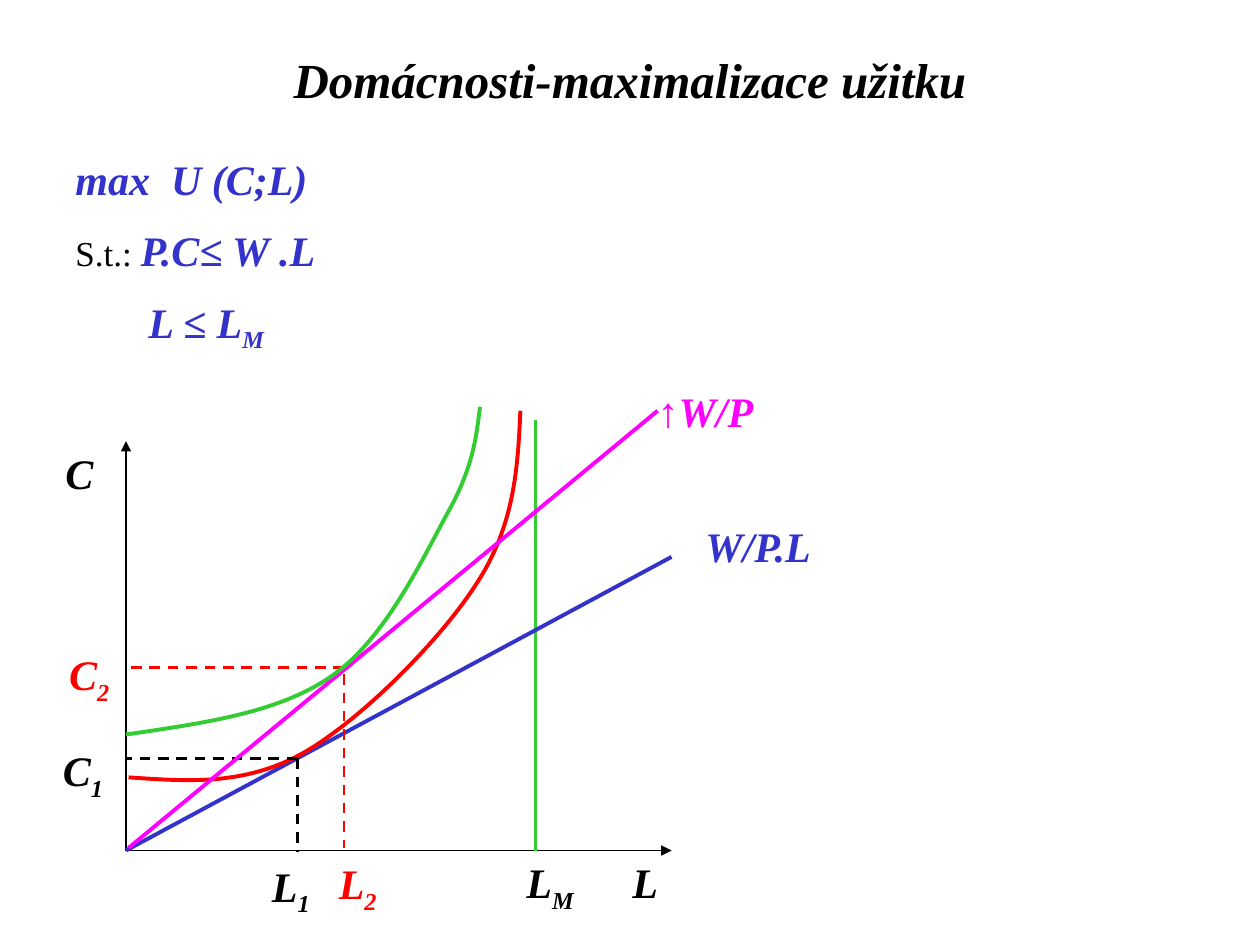
from dataclasses import dataclass

from lxml import etree
from pptx import Presentation
from pptx.dml.color import RGBColor
from pptx.enum import dml, shapes, text
from pptx.oxml.ns import qn
from pptx.util import Inches, Pt

FONT = "Times New Roman"
COLORS = {
    "black": "000000",
    "blue": "3333CC",
    "green": "33CC33",
    "red": "FF0000",
    "magenta": "FF00FF",
}
Point = tuple[float, float]


@dataclass
class Label:
    words: str
    left: float
    top: float
    width: float
    color: str = "black"
    subscript: str = ""


@dataclass
class Line:
    start: Point
    end: Point
    color: str = "black"
    weight: float = 2.25
    dashed: bool = False
    arrow: bool = False


@dataclass
class Curve:
    color: str
    points: list[Point]  # start, then two controls and an end per segment


def color_of(name: str) -> RGBColor:
    return RGBColor.from_string(COLORS[name])


def style_font(font, color: str, size: float = 24, strong: bool = True) -> None:
    font.name, font.size = FONT, Pt(size)
    font.bold = font.italic = strong
    font.color.rgb = color_of(color)


def add_subscript(paragraph, words: str) -> None:
    run = paragraph.add_run()
    run.text = words
    run.font._element.set("baseline", "-25000")


def space_half_line(paragraph) -> None:
    """Put half a line of space before the paragraph."""
    paragraph.space_before = Pt(0)
    spacing = paragraph._p.pPr.find(qn("a:spcBef"))
    spacing.clear()
    etree.SubElement(spacing, qn("a:spcPct")).set("val", "50000")


def add_text_frame(slide, left: float, top: float, width: float, height: float):
    shape = slide.shapes.add_textbox(*map(Inches, (left, top, width, height)))
    frame = shape.text_frame
    frame.word_wrap = True
    frame.auto_size = text.MSO_AUTO_SIZE.SHAPE_TO_FIT_TEXT
    return frame


def add_label(slide, label: Label) -> None:
    frame = add_text_frame(slide, label.left, label.top, label.width, 0.5)
    paragraph = frame.paragraphs[0]
    space_half_line(paragraph)
    style_font(paragraph.font, label.color)
    paragraph.add_run().text = label.words
    if label.subscript:
        add_subscript(paragraph, label.subscript)


def add_line(slide, line: Line) -> None:
    connector = slide.shapes.add_connector(
        shapes.MSO_CONNECTOR.STRAIGHT, *map(Inches, line.start + line.end))
    connector.line.color.rgb = color_of(line.color)
    connector.line.width = Pt(line.weight)
    if line.dashed:
        connector.line.dash_style = dml.MSO_LINE.DASH
    if line.arrow:
        outline = connector.line._get_or_add_ln()
        etree.SubElement(outline, qn("a:tailEnd")).set("type", "triangle")
    etree.SubElement(connector._element.spPr, qn("a:effectLst"))


def add_curve(slide, curve: Curve) -> None:
    start, *others = [(Inches(x), Inches(y)) for x, y in curve.points]
    builder = slide.shapes.build_freeform(*start)
    builder.add_line_segments(others, close=False)
    shape = builder.convert_to_shape()
    shape.shadow.inherit = False
    shape.fill.background()
    shape.line.color.rgb = color_of(curve.color)
    shape.line.width = Pt(2.25)
    # Turn every three straight steps into one Bézier segment
    steps = list(shape._element.iter(qn("a:lnTo")))
    outline = steps[0].getparent()
    for first in range(0, len(steps), 3):
        segment = etree.SubElement(outline, qn("a:cubicBezTo"))
        for step in steps[first:first + 3]:
            segment.append(step[0])
            outline.remove(step)


def add_title(slide) -> None:
    title = slide.shapes.title
    title.left, title.top, title.width, title.height = map(Inches, (0.75, 0, 8.5, 1.25))
    title.text_frame.text = "Domácnosti-maximalizace užitku"
    title.text_frame.vertical_anchor = text.MSO_ANCHOR.MIDDLE
    paragraph = title.text_frame.paragraphs[0]
    paragraph.alignment = text.PP_ALIGN.CENTER
    style_font(paragraph.font, "black", 28)


def add_problem(slide) -> None:
    frame = add_text_frame(slide, 0.5, 1.17, 8.58, 1.7)
    goal, budget, limit = frame.paragraphs[0], frame.add_paragraph(), frame.add_paragraph()
    for paragraph in (goal, budget, limit):
        space_half_line(paragraph)
        style_font(paragraph.font, "blue")
    goal.add_run().text = "max  U (C;L)"
    prefix = budget.add_run()
    prefix.text = "S.t.: "
    style_font(prefix.font, "black", 20, strong=False)
    budget.add_run().text = "P.C≤ W .L"
    limit._p.pPr.set("marL", str(Inches(0.58)))
    limit.add_run().text = "L ≤ L"
    add_subscript(limit, "M")


# Chart parts, from back to front
ORIGIN = (1, 6.75)
OPTIMUM_1 = (2.36, 6.02)
OPTIMUM_2 = (2.73, 5.3)
DRAWING = [
    # Axes, labour limit and first budget line
    Line(ORIGIN, (5.33, 6.75), weight=0.75, arrow=True),
    Line(ORIGIN, (1, 3.5), weight=0.75, arrow=True),
    Line((4.25, 6.75), (4.25, 3.33), "green"),
    Line(ORIGIN, (5.33, 4.42), "blue"),
    # First indifference curve
    Curve("red", [(1.02, 6.17), (1.48, 6.2), (1.93, 6.24), (2.4, 5.98),
                  (2.86, 5.72), (3.5, 5.08), (3.79, 4.62),
                  (4.08, 4.17), (4.11, 3.72), (4.13, 3.26)]),
    # Projections of both optima
    Line(OPTIMUM_1, (2.36, 6.76), weight=1.5, dashed=True),
    Line((2.73, 5.35), (2.73, 6.73), "red", 1.5, dashed=True),
    Line(OPTIMUM_1, (1, 6.02), weight=1.5, dashed=True),
    Line(OPTIMUM_2, (1.03, 5.3), "red", 1.5, dashed=True),
    # Steeper budget line and second indifference curve
    Line((1.02, 6.73), (5.22, 3.26), "magenta"),
    Curve("green", [(1, 5.83), (1.61, 5.74), (2.22, 5.66), (2.64, 5.36),
                    (3.07, 5.06), (3.37, 4.4), (3.57, 4.04),
                    (3.76, 3.69), (3.78, 3.46), (3.81, 3.23)]),
]
LABELS = [
    Label("L", 4.92, 6.75, 0.42),
    Label("C", 0.42, 3.5, 0.42),
    Label("L", 4.08, 6.75, 0.67, subscript="M"),
    Label("W/P.L", 5.5, 4.08, 2.67, "blue"),
    Label("L", 2.06, 6.78, 0.55, subscript="1"),
    Label("L", 2.59, 6.76, 0.55, "red", "2"),
    Label("C", 0.4, 5.86, 0.55, subscript="1"),
    Label("C", 0.45, 5.1, 0.55, "red", "2"),
    Label("↑W/P", 5.12, 3.01, 1.25, "magenta"),
]


def main() -> None:
    presentation = Presentation()
    presentation.slide_width, presentation.slide_height = Inches(10), Inches(7.5)
    slide = presentation.slides.add_slide(presentation.slide_layouts[5])
    add_title(slide)
    add_problem(slide)
    for part in DRAWING:
        if isinstance(part, Line):
            add_line(slide, part)
        else:
            add_curve(slide, part)
    for label in LABELS:
        add_label(slide, label)
    presentation.save("out.pptx")


if __name__ == "__main__":
    main()
